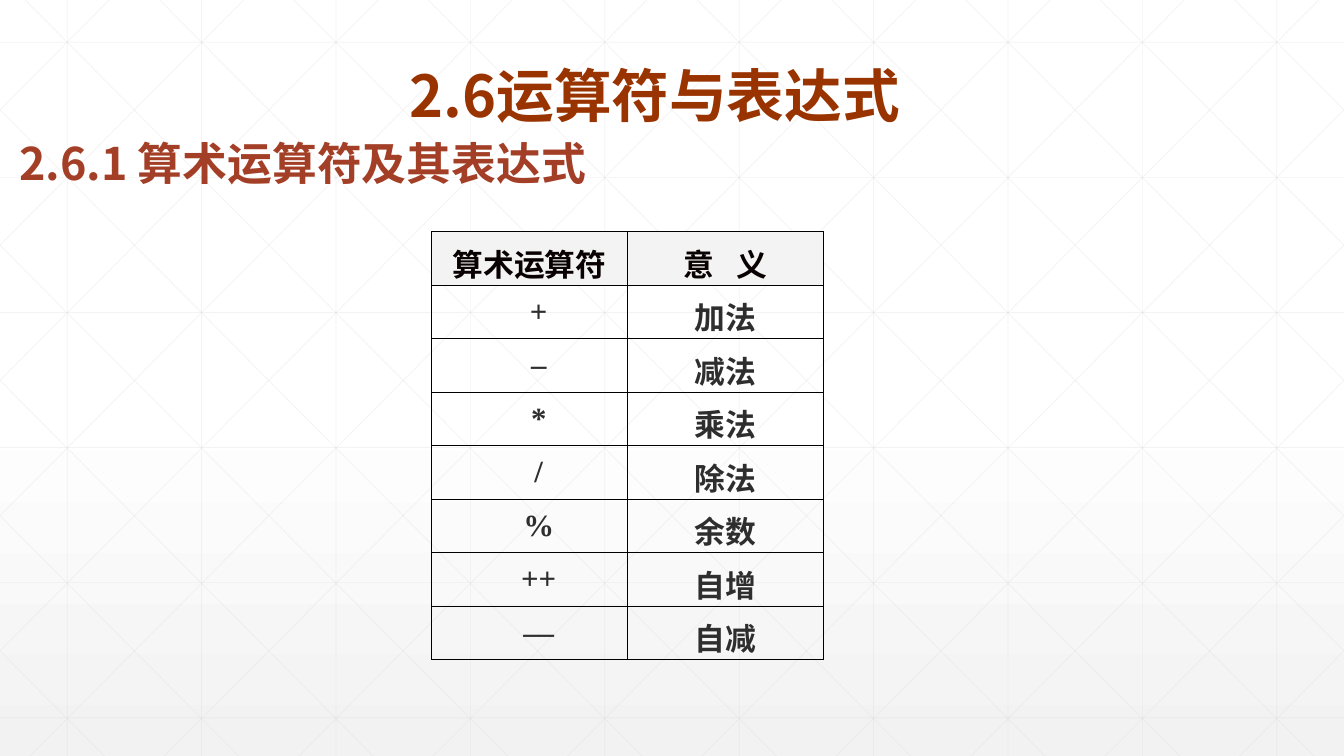
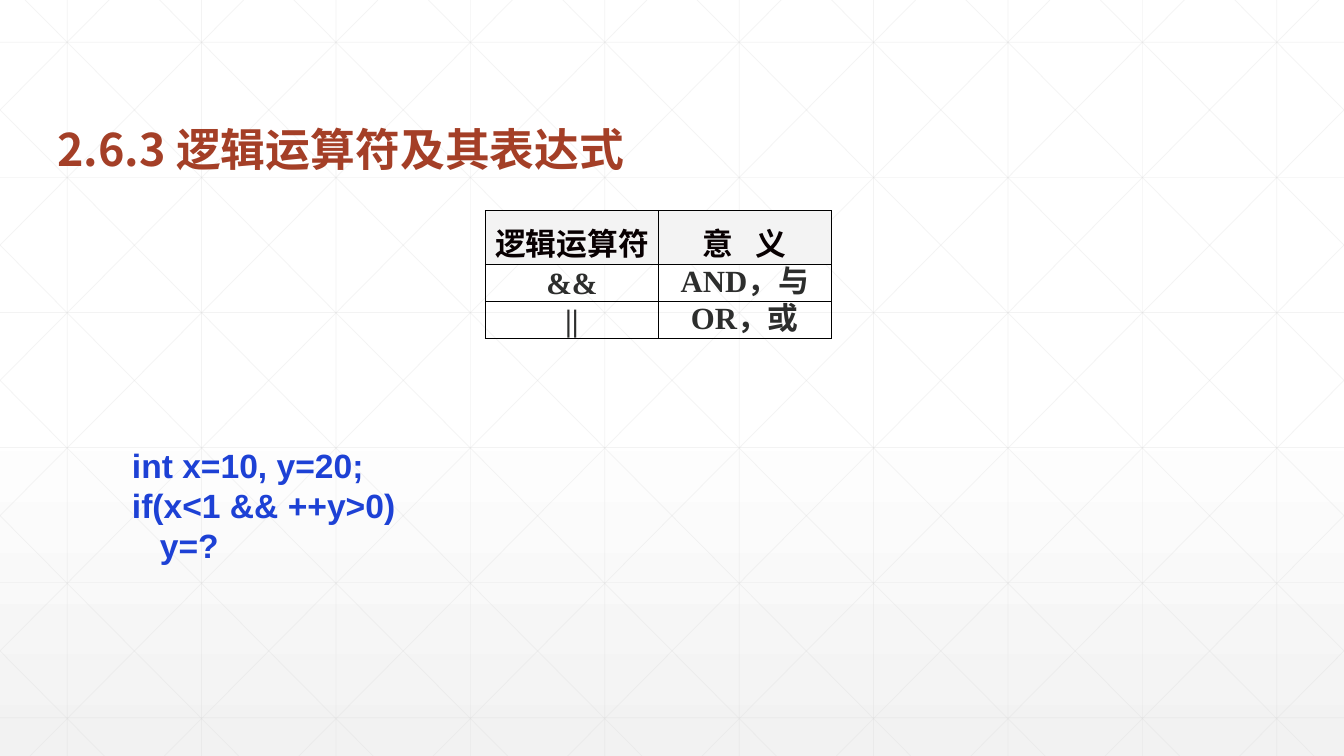
from lxml.etree import SubElement
from pptx import Presentation
from pptx.dml.color import RGBColor
from pptx.enum.shapes import MSO_CONNECTOR
from pptx.enum.text import MSO_ANCHOR as ANCHOR, PP_ALIGN as ALIGN
from pptx.oxml import parse_xml
from pptx.oxml.ns import nsdecls, qn
from pptx.util import Inches, Pt

rgb = RGBColor.from_string
CJK_FONT = "Noto Sans CJK SC"

presentation = Presentation()
presentation.slide_width = WIDTH = Inches(13.33)
presentation.slide_height = HEIGHT = Inches(7.5)


def place(*percents):
    """Turn left, top, width, height in percent of the slide into lengths."""
    return [int(percent * side / 100) for percent, side in zip(percents, (WIDTH, HEIGHT) * 2)]


def write(frame, lines, color, font, paragraph_format):
    """Fill a text frame, one paragraph per line."""
    frame.word_wrap = True
    for index, line in enumerate(lines):
        paragraph = frame.add_paragraph() if index else frame.paragraphs[0]
        for name, value in paragraph_format.items():
            setattr(paragraph, name, value)
        run = paragraph.add_run()
        run.text = line
        for name, value in font.items():
            setattr(run.font, name, value)
        run.font.color.rgb = rgb(color)
        SubElement(run._r.get_or_add_rPr(), qn("a:ea"), typeface=CJK_FONT)


# Shared background
background = presentation.slide_master.background.fill
background.gradient()
background.gradient_angle = 270
for stop, (position, color) in zip(background.gradient_stops, [(0.53, "FFFFFF"), (1, "F2F2F2")]):
    stop.position = position
    stop.color.rgb = rgb(color)

# Shared lattice of upright, level and slanting lines
column, row = WIDTH / 10, Inches(1.34)
lattice = [(x, 0, x, HEIGHT) for x in (column * (index + 0.5) for index in range(10))]
lattice += [(0, y, WIDTH, y) for y in (Inches(0.42) + row * index for index in range(6))]
slant_run = Inches(7.45)
for index in range(-5, 10):
    start = Inches(0.25) + column * index
    left, right = max(start, 0), min(start + slant_run, WIDTH)
    top, bottom = ((x - start) * HEIGHT / slant_run for x in (left, right))
    lattice += [(left, top, right, bottom), (WIDTH - left, top, WIDTH - right, bottom)]

# Text styles
TITLE_FONT = dict(name=CJK_FONT, size=Pt(32), bold=True)
HEADING_FONT = dict(name=CJK_FONT, size=Pt(41.2), bold=True)
CODE_FONT = dict(name="Arial", size=Pt(24), bold=True)
CELL_FONT = dict(name="Times New Roman", size=Pt(22), bold=True)
CENTERED = dict(alignment=ALIGN.CENTER)
SPACED = dict(alignment=ALIGN.CENTER, line_spacing=1.2)
TIGHT = dict(alignment=ALIGN.CENTER, line_spacing=Pt(12.8))

# Row heights in percent of the slide height
TALL_ROW, LOW_ROW = 7.08, 4.8

SLIDES = [
    dict(
        texts=[
            ((0.68, 12.53, 66.84, 13.33), ANCHOR.BOTTOM, ["2.6.1 算术运算符及其表达式"],
             "A43F27", TITLE_FONT, dict(line_spacing=0.9)),
            ((15.3, 4.4, 66.84, 13.33), ANCHOR.BOTTOM, ["2.6运算符与表达式"],
             "993300", HEADING_FONT, CENTERED),
        ],
        rows=[("算术运算符", "意 义"), ("+", "加法"), ("–", "减法"), ("*", "乘法"),
              ("/", "除法"), ("%", "余数"), ("++", "自增"), ("––", "自减")],
        table=(32.11, 30.67, 29.18), row_height=TALL_ROW,
        anchor=ANCHOR.MIDDLE, meaning=SPACED, indent=Inches(0.18),
    ),
    dict(
        texts=[
            ((3.53, 10.67, 66.84, 13.33), ANCHOR.BOTTOM, ["2.6.3 逻辑运算符及其表达式"],
             "A43F27", TITLE_FONT, dict(line_spacing=0.9)),
            ((9.08, 58.13, 36.46, 17.47), ANCHOR.TOP,
             ["int x=10, y=20;", "if(x<1 && ++y>0)", "   y=?"], "1D41D5", CODE_FONT, {}),
        ],
        rows=[("逻辑运算符", "意 义"), ("&&", "AND，与"), ("||", "OR，或")],
        table=(36.12, 27.87, 25.73), row_height=LOW_ROW,
        anchor=ANCHOR.BOTTOM, meaning=TIGHT, indent=0,
    ),
]

for content in SLIDES:
    slide = presentation.slides.add_slide(presentation.slide_layouts[6])

    for ends in lattice:
        connector = slide.shapes.add_connector(MSO_CONNECTOR.STRAIGHT, *map(int, ends))
        connector.line.width = Pt(0.5)
        connector.line.color.rgb = rgb("D9D9D9")
        properties = connector._element.spPr
        SubElement(next(properties.iter(qn("a:srgbClr"))), qn("a:alpha"), val="30000")
        SubElement(properties, qn("a:effectLst"))

    for box, anchor, lines, color, font, paragraph_format in content["texts"]:
        frame = slide.shapes.add_textbox(*place(*box)).text_frame
        frame.vertical_anchor = anchor
        write(frame, lines, color, font, paragraph_format)

    rows = content["rows"]
    heights = [TALL_ROW] + [content["row_height"]] * (len(rows) - 1)
    table_box = place(*content["table"], sum(heights))
    table = slide.shapes.add_table(len(rows), 2, *table_box).table
    table.first_row = table.horz_banding = False
    for row_index, (texts, height) in enumerate(zip(rows, heights)):
        is_header = row_index == 0
        table.rows[row_index].height = int(HEIGHT * height / 100)
        for column_index, text in enumerate(texts):
            cell = table.cell(row_index, column_index)
            cell.margin_left = cell.margin_right = Inches(0.01)
            cell.margin_top = cell.margin_bottom = 0
            cell.vertical_anchor = ANCHOR.TOP if is_header else content["anchor"]
            if is_header:
                cell.fill.solid()
                cell.fill.fore_color.rgb = rgb("F3F3F3")
            else:
                cell.fill.background()
            cell_properties = cell._tc.get_or_add_tcPr()
            for index, side in enumerate("LRTB"):
                cell_properties.insert(index, parse_xml(
                    f'<a:ln{side} {nsdecls("a")} w="12700"><a:solidFill>'
                    f'<a:srgbClr val="000000"/></a:solidFill></a:ln{side}>'))

            body_format = content["meaning"] if column_index else CENTERED
            write(cell.text_frame, [text], "080001" if is_header else "2D2E2D",
                  CELL_FONT, SPACED if is_header else body_format)
            paragraph = cell.text_frame.paragraphs[0]
            if is_header and column_index:
                paragraph.runs[0]._r.get_or_add_rPr().set("spc", "550")
            elif not is_header and not column_index:
                paragraph._p.get_or_add_pPr().set("marL", str(int(content["indent"])))

presentation.save("out.pptx")
